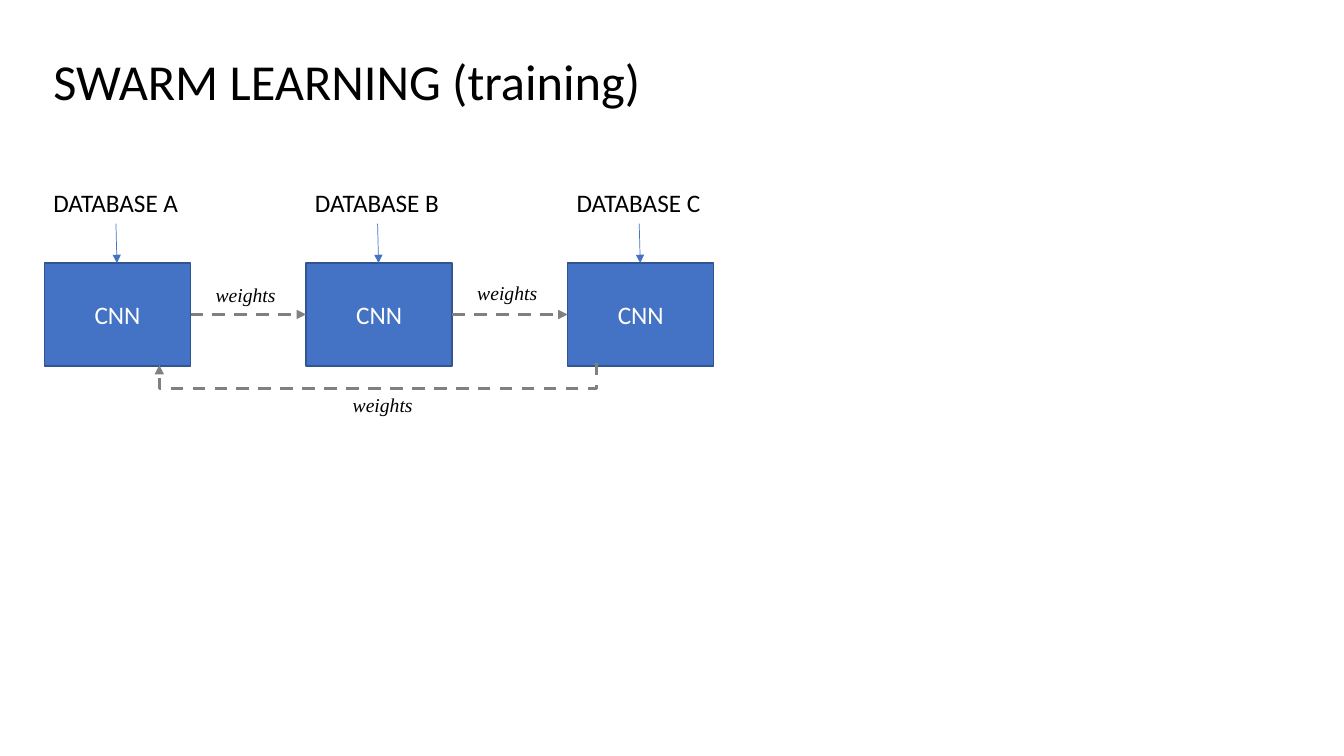
import dataclasses
import typing

import lxml.etree
import pptx
import pptx.dml.color
import pptx.enum.dml
import pptx.enum.shapes
import pptx.enum.text
import pptx.oxml.ns
import pptx.util

RGB = pptx.dml.color.RGBColor
BLACK = RGB(0x00, 0x00, 0x00)
WHITE = RGB(0xFF, 0xFF, 0xFF)
BLUE = RGB(0x44, 0x72, 0xC4)
NAVY = RGB(0x32, 0x54, 0x91)
GRAY = RGB(0x80, 0x80, 0x80)

WIDE, HIGH = 13.33, 7.5
COLS, ROWS = 133.3, 75
LEFT, STEP = 4.4, 25.95
TOP, BOX_W, BOX_H = 26.1, 14.5, 10.2
MID = TOP + BOX_H / 2

ALIGN = pptx.enum.text.PP_ALIGN
ANCHOR = pptx.enum.text.MSO_ANCHOR
KIND = pptx.enum.shapes.MSO_CONNECTOR
DASH = pptx.enum.dml.MSO_LINE.DASH
Font = dict[str, typing.Any]

HEAD: Font = {"name": "Calibri", "size": pptx.util.Pt(36), "bold": False, "italic": False}
BODY: Font = {"name": "Calibri", "size": pptx.util.Pt(18), "bold": False, "italic": False}
NOTE: Font = {"name": "Times New Roman", "size": pptx.util.Pt(14), "bold": False, "italic": True}


@dataclasses.dataclass(frozen=True)
class Area:
    col: float
    row: float
    wide: float
    high: float


@dataclasses.dataclass(frozen=True)
class Label:
    text: str
    area: Area
    font: Font


@dataclasses.dataclass(frozen=True)
class Arrow:
    start: tuple[float, float]
    end: tuple[float, float]
    color: RGB
    width: float
    dash: typing.Any = None


def across(cols: float) -> int:
    return pptx.util.Inches(cols / COLS * WIDE)


def down(rows: float) -> int:
    return pptx.util.Inches(rows / ROWS * HIGH)


def place(area: Area) -> tuple[int, int, int, int]:
    return across(area.col), down(area.row), across(area.wide), down(area.high)


def write(shape, text: str, font: Font, color: RGB, align, anchor) -> None:
    frame = shape.text_frame
    frame.text = text
    frame.vertical_anchor = anchor
    para = frame.paragraphs[0]
    para.alignment = align
    for name, value in font.items():
        setattr(para.font, name, value)
    para.font.color.rgb = color


def fit(shape, label: Label) -> None:
    write(shape, label.text, label.font, BLACK, ALIGN.LEFT, ANCHOR.TOP)
    shape.text_frame.word_wrap = False
    shape.text_frame.auto_size = pptx.enum.text.MSO_AUTO_SIZE.SHAPE_TO_FIT_TEXT


def draw_title(slide, label: Label) -> None:
    title = slide.shapes.title
    title.left, title.top, title.width, title.height = place(label.area)
    fit(title, label)


def draw_label(slide, label: Label) -> None:
    fit(slide.shapes.add_textbox(*place(label.area)), label)


def draw_box(slide, text: str, area: Area) -> None:
    box = slide.shapes.add_shape(pptx.enum.shapes.MSO_SHAPE.RECTANGLE, *place(area))
    box.shadow.inherit = False
    box.fill.solid()
    box.fill.fore_color.rgb = BLUE
    box.line.color.rgb = NAVY
    box.line.width = pptx.util.Pt(1)
    write(box, text, BODY, WHITE, ALIGN.CENTER, ANCHOR.MIDDLE)


def draw_arrow(slide, arrow: Arrow, kind=KIND.STRAIGHT):
    (col, row), (col2, row2) = arrow.start, arrow.end
    link = slide.shapes.add_connector(kind, across(col), down(row), across(col2), down(row2))
    link.line.color.rgb = arrow.color
    link.line.width = pptx.util.Pt(arrow.width)
    link.line.dash_style = arrow.dash
    qn = pptx.oxml.ns.qn
    line = link.line._get_or_add_ln()
    lxml.etree.SubElement(line, qn("a:tailEnd"), type="triangle")
    lxml.etree.SubElement(link._element.spPr, qn("a:effectLst"))
    return link


def draw_loop(slide, arrow: Arrow, low: float) -> None:
    (col, row), (col2, row2) = arrow.start, arrow.end
    span, rise = col - col2, row2 - row
    left, top = (col + col2 - rise) / 2, (row + row2 - span) / 2
    turned = dataclasses.replace(arrow, start=(left, top), end=(left + rise, top + span))
    link = draw_arrow(slide, turned, KIND.ELBOW)
    link._element.spPr.xfrm.set("rot", "5400000")
    qn = pptx.oxml.ns.qn
    guides = link._element.spPr.find(qn("a:prstGeom")).find(qn("a:avLst"))
    bend = round((low - row) / rise * 100000)
    lxml.etree.SubElement(guides, qn("a:gd"), name="adj1", fmla=f"val {bend}")


def main() -> None:
    deck = pptx.Presentation()
    deck.slide_width = pptx.util.Inches(WIDE)
    deck.slide_height = pptx.util.Inches(HIGH)
    slide = deck.slides.add_slide(deck.slide_layouts[5])
    draw_title(slide, Label("SWARM LEARNING (training)", Area(4.3, 4.5, 60.8, 7.1), HEAD))

    for index, name in enumerate("ABC"):
        col = LEFT + index * STEP
        draw_label(slide, Label(f"DATABASE {name}", Area(col - 0.1, 18.1, 14.5, 4), BODY))
        draw_box(slide, "CNN", Area(col, TOP, BOX_W, BOX_H))
        draw_arrow(slide, Arrow((col + 7.1, 22.2), (col + 7.2, TOP), BLUE, 0.5))

    for index, row in enumerate((27.6, 27.4)):
        col = LEFT + index * STEP
        draw_arrow(slide, Arrow((col + BOX_W, MID), (col + STEP, MID), GRAY, 2.25, DASH))
        draw_label(slide, Label("weights", Area(col + 16, row, 8, 3.4), NOTE))

    draw_loop(slide, Arrow((59.2, 36), (15.8, 36.2), GRAY, 2.25, DASH), 38.5)
    draw_label(slide, Label("weights", Area(34, 38.5, 8, 3.4), NOTE))
    deck.save("out.pptx")


if __name__ == "__main__":
    main()
